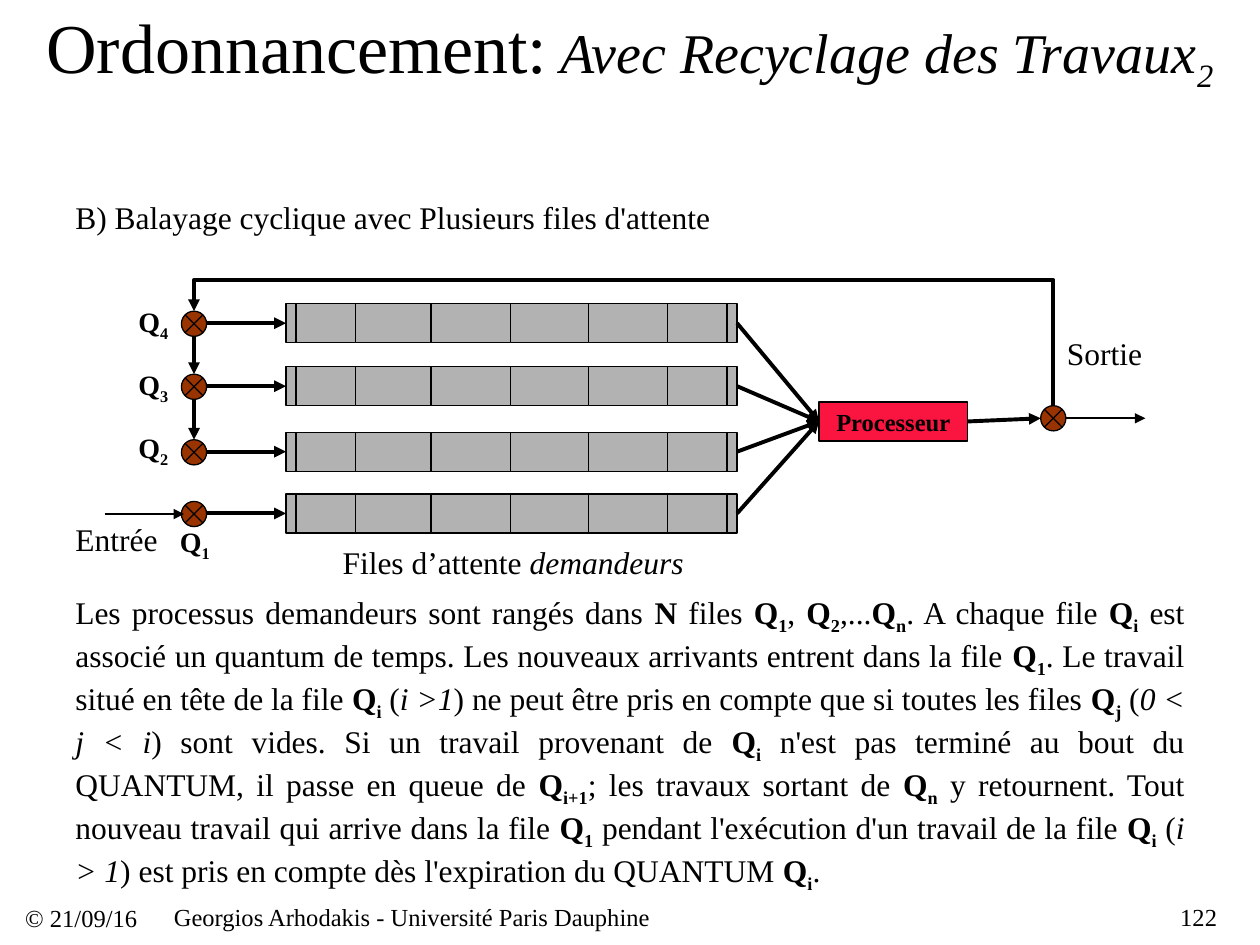
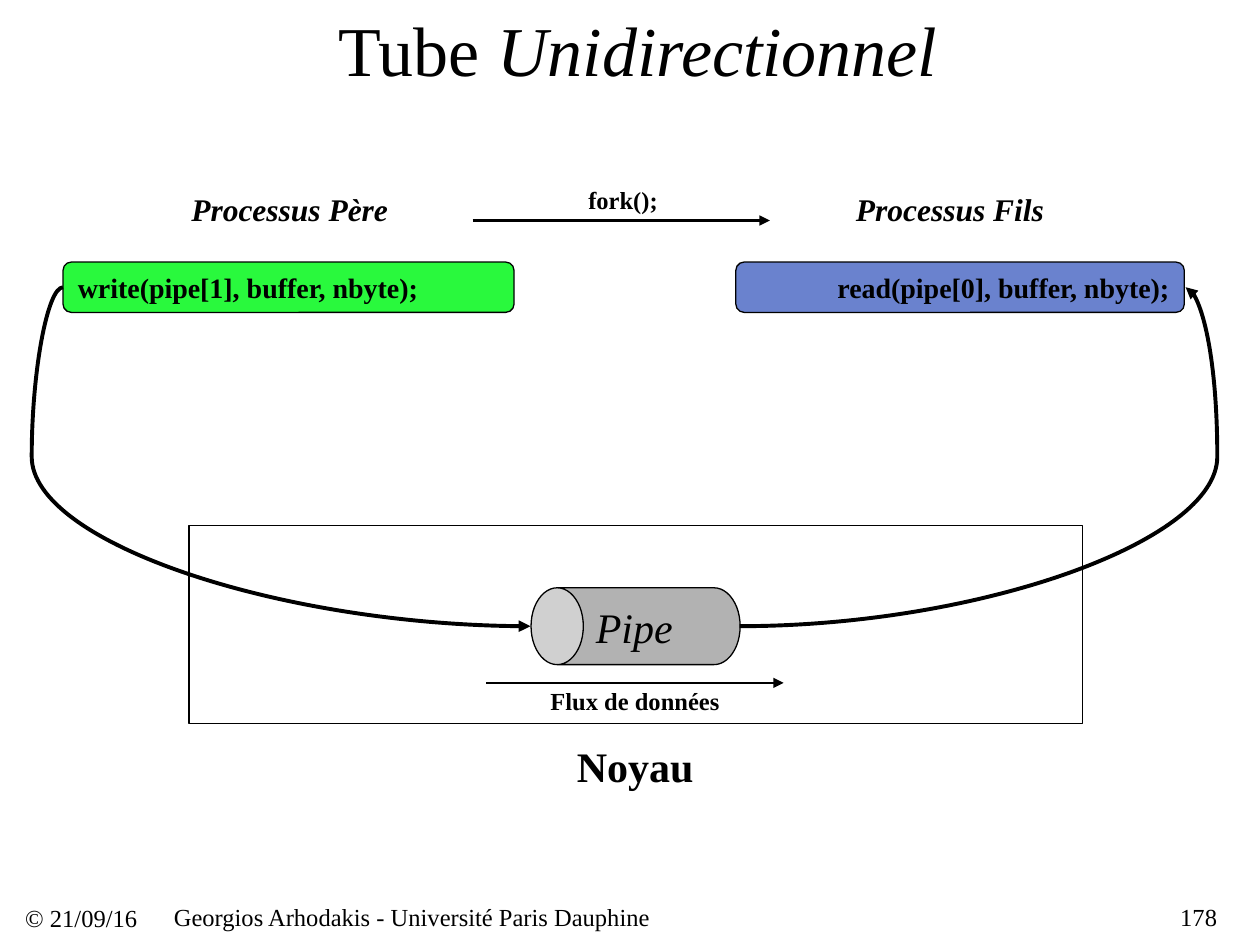
import pptx
import pptx.dml.color
import pptx.enum.shapes
import pptx.enum.text
import pptx.oxml.ns
import pptx.util
from lxml import etree

Inches, Pt = pptx.util.Inches, pptx.util.Pt
RGB = pptx.dml.color.RGBColor
SHAPE = pptx.enum.shapes.MSO_SHAPE
CONN = pptx.enum.shapes.MSO_CONNECTOR
ALIGN = pptx.enum.text.PP_ALIGN
ANCHOR = pptx.enum.text.MSO_ANCHOR
qn = pptx.oxml.ns.qn

BLACK = RGB(0, 0, 0)
GREY = RGB(0xB2, 0xB2, 0xB2)
BROWN = RGB(0x99, 0x33, 0x00)
RED = RGB(0xFA, 0x14, 0x40)
GREEN = RGB(0x29, 0xF9, 0x3D)
BLUE = RGB(0x6A, 0x82, 0xCE)
FONT = "Times New Roman"

RULES = (
    "Les processus demandeurs sont rangés dans *N* files *Q_1_*, *Q_2_*,...*Q_n_*. "
    "A chaque file *Q_i_* est associé un quantum de temps. Les nouveaux arrivants "
    "entrent dans la file *Q_1_*. Le travail situé en tête de la file *Q_i_* "
    "(~i >1~) ne peut être pris en compte que si toutes les files *Q_j_* "
    "(~0 < j < i~) sont vides. Si un travail provenant de *Q_i_* n'est pas terminé "
    "au bout du QUANTUM, il passe en queue de *Q_i+1_*; les travaux sortant de "
    "*Q_n_* y retournent. Tout nouveau travail qui arrive dans la file *Q_1_* "
    "pendant l'exécution d'un travail de la file *Q_i_* (~i > 1~) est pris en "
    "compte dès l'expiration du QUANTUM *Q_i_*."
)


def write(sp, text, size, align=ALIGN.LEFT, margins=True, wrap=True):
    """Write one paragraph in which * marks bold, ~ italic and _ subscript."""
    tf = sp.text_frame
    tf.word_wrap = wrap
    tf.auto_size = pptx.enum.text.MSO_AUTO_SIZE.NONE
    tf.vertical_anchor = ANCHOR.MIDDLE
    if not margins:
        tf.margin_left = tf.margin_right = tf.margin_top = tf.margin_bottom = 0
    p = tf.paragraphs[0]
    p.alignment = align
    p.font.name, p.font.size, p.font.color.rgb = FONT, Pt(size), BLACK
    state = {"*": False, "~": False, "_": False}
    piece = ""
    for mark in text + "\n":
        if mark not in state and mark != "\n":
            piece += mark
            continue
        if piece:
            r = p.add_run()
            r.text = piece
            if state["*"]:
                r.font.bold = True
            if state["~"]:
                r.font.italic = True
            if state["_"]:
                r.font._element.set("baseline", "-25000")
        piece = ""
        if mark in state:
            state[mark] = not state[mark]
    return p


def label(slide, x, y, w, h, text, size, align=ALIGN.LEFT, margins=True):
    """Add a text box."""
    sp = slide.shapes.add_textbox(Inches(x), Inches(y), Inches(w), Inches(h))
    write(sp, text, size, align, margins)


def block(slide, kind, x, y, w, h, fill=None):
    """Add a thinly outlined preset shape."""
    sp = slide.shapes.add_shape(kind, Inches(x), Inches(y), Inches(w), Inches(h))
    sp.shadow.inherit = False
    if fill is None:
        sp.fill.background()
    else:
        sp.fill.solid()
        sp.fill.fore_color.rgb = fill
    sp.line.color.rgb, sp.line.width = BLACK, Pt(0.75)
    return sp


def arrow(slide, x1, y1, x2, y2, width=2.25, kind=CONN.STRAIGHT, adj=None):
    """Add a connector with a triangular head at its end."""
    cx = slide.shapes.add_connector(kind, Inches(x1), Inches(y1), Inches(x2), Inches(y2))
    cx.line.color.rgb, cx.line.width = BLACK, Pt(width)
    spPr = cx._element.spPr
    etree.SubElement(spPr.find(qn("a:ln")), qn("a:tailEnd"), type="triangle")
    etree.SubElement(spPr, qn("a:effectLst"))
    if adj is not None:
        guides = spPr.find(qn("a:prstGeom")).find(qn("a:avLst"))
        etree.SubElement(guides, qn("a:gd"), name="adj1", fmla=f"val {round(adj * 100000)}")
    return cx


def new_slide(prs, title, x, w, number):
    """Add a slide with its title and footer line."""
    slide = prs.slides.add_slide(prs.slide_layouts[5])
    sp = slide.shapes.title
    sp.left, sp.top, sp.width, sp.height = Inches(x), 0, Inches(w), Inches(0.77)
    write(sp, title, 40, ALIGN.CENTER)
    label(slide, 0.2, 7.05, 1.08, 0.47, "© 21/09/16", 14, margins=False)
    label(slide, 1.38, 7.16, 6.83, 0.23,
          "Georgios Arhodakis - Université Paris Dauphine", 14, margins=False)
    label(slide, 8.66, 7.16, 1, 0.23, number, 14, ALIGN.RIGHT, margins=False)
    return slide


def junction(slide, x, y):
    """Add a summing junction."""
    block(slide, SHAPE.FLOWCHART_SUMMING_JUNCTION, x, y, 0.2, 0.2, BROWN)


def queue(slide, x, y):
    """Draw a junction feeding a row of cells and return the last cell."""
    w, h = 0.63, 0.31
    first, last = [block(slide, SHAPE.FLOWCHART_PREDEFINED_PROCESS, x + dx, y, w, h, GREY)
                   for dx in (0.83, 3.78)]
    for dx in (1.38, 1.98, 2.61, 3.23):
        block(slide, SHAPE.FLOWCHART_PROCESS, x + dx, y, w, h, GREY)
    junction(slide, x, y + 0.06)
    arrow(slide, x + 0.2, y + h / 2, x + 0.83, y + h / 2).end_connect(first, 1)
    return last


def feedback(slide, x1, y1, x2, y2):
    """Draw the elbow that returns above the queues from the exit to the entry."""
    mid_x, mid_y = (x1 + x2) / 2, (y1 + y2) / 2
    half_w, half_h = (y1 - y2) / 2, (x1 - x2) / 2
    cx = arrow(slide, mid_x + half_w, mid_y - half_h, mid_x - half_w, mid_y + half_h,
               kind=CONN.ELBOW, adj=1.333)
    cx._element.spPr.find(qn("a:xfrm")).set("rot", "5400000")


def queue_network(slide, x, y):
    """Draw the four queues, the processor and the recycling loop."""
    tops = [y + dy for dy in (0.19, 0.69, 1.21, 1.7)]
    cpu = block(slide, SHAPE.RECTANGLE, x + 5.06, y + 0.97, 1.18, 0.31, RED)
    write(cpu, "*Processeur*", 14, ALIGN.CENTER, wrap=False)
    for top in tops:
        last = queue(slide, x, top)
        cx = arrow(slide, x + 4.41, top, x + 5.06, y + 1.12)
        cx.begin_connect(last, 3)
        cx.end_connect(cpu, 1)
    for upper, lower in zip(tops[:2], tops[1:3]):
        arrow(slide, x + 0.1, upper + 0.26, x + 0.1, lower + 0.06)
    junction(slide, x + 6.82, y + 1)
    arrow(slide, x + 6.24, y + 1.12, x + 6.82, y + 1.1).begin_connect(cpu, 3)
    arrow(slide, x + 7.02, y + 1.1, x + 7.65, y + 1.1, 1)
    arrow(slide, x - 0.61, y + 1.86, x + 0.02, y + 1.86, 1)
    feedback(slide, x + 6.92, y + 1, x + 0.1, y + 0.25)
    for n, dx, dy in ((4, -0.44, 0.16), (3, -0.44, 0.66), (2, -0.44, 1.16), (1, -0.11, 1.91)):
        label(slide, x + dx, y + dy, 0.5, 0.37, f"*Q_{n}_*", 16)
    label(slide, x + 6.93, y + 0.38, 0.8, 0.4, "Sortie", 18)
    label(slide, x - 0.94, y + 1.86, 0.92, 0.4, "Entrée", 18)
    label(slide, x + 1.18, y + 2.04, 2.92, 0.4, "Files d’attente ~demandeurs~", 18)


def scheduling_slide(prs):
    """Build the slide on scheduling with recycled jobs."""
    slide = new_slide(prs, "Ordonnancement:~ Avec Recyclage des Travaux_2_~", 0.2, 9.6, "122")
    for r in slide.shapes.title.text_frame.paragraphs[0].runs[1:]:
        r.font.size = Pt(32)
    label(slide, 0.5, 1.52, 8.02, 0.4, "B) Balayage cyclique avec Plusieurs files d'attente", 18)
    queue_network(slide, 1.44, 2.22)
    label(slide, 0.5, 4.8, 9, 2.2, RULES, 18, ALIGN.JUSTIFY)


def process(slide, x, y, w, name, call, fill, align):
    """Draw a process name above its system call."""
    label(slide, x + w / 2 - 1.38 + (0.01 if align == ALIGN.LEFT else -0.08), y,
          2.76, 0.4, f"*~{name}~*", 18, ALIGN.CENTER)
    sp = block(slide, SHAPE.FLOWCHART_ALTERNATE_PROCESS, x, y + 0.62, w, 0.4, fill)
    write(sp, f"*{call}*", 16, align)


def kernel(slide, x, y):
    """Draw the kernel frame with the pipe and its data flow."""
    block(slide, SHAPE.RECTANGLE, x, y, 7.09, 1.57)
    arrow(slide, x + 2.36, y + 1.25, x + 4.72, y + 1.25, 1.5)
    can = block(slide, SHAPE.CAN, x + 3.24, y - 0.03, 0.61, 1.66, GREY)
    can.rotation = 270
    can.adjustments[0] = 0.681
    write(can, "~Pipe~", 24, ALIGN.CENTER)
    can.text_frame._txBody.bodyPr.set("vert", "eaVert")
    label(slide, x + 2.98, y + 1.66, 1.13, 0.5, "*Noyau*", 24)
    label(slide, x + 2.77, y + 1.23, 1.55, 0.33, "*Flux de données*", 14)


def pipe_slide(prs):
    """Build the slide on the one-way pipe."""
    slide = new_slide(prs, " Tube ~Unidirectionnel~", 0.75, 8.5, "178")
    kernel(slide, 1.5, 4.17)
    process(slide, 0.5, 1.46, 3.58, "Processus Père", "write(pipe[1], buffer, nbyte);",
            GREEN, ALIGN.LEFT)
    process(slide, 5.84, 1.46, 3.56, "Processus Fils", "read(pipe[0], buffer, nbyte);",
            BLUE, ALIGN.RIGHT)
    arrow(slide, 5.87, 4.97, 9.41, 2.28, kind=CONN.CURVE, adj=1.071)
    arrow(slide, 0.5, 2.28, 4.21, 4.97, kind=CONN.CURVE, adj=-0.067)
    label(slide, 4.17, 1.42, 1.55, 0.33, "*fork();*", 14, ALIGN.CENTER)
    arrow(slide, 3.75, 1.75, 6.11, 1.75, 1.5)


def main():
    """Build and save the presentation."""
    prs = pptx.Presentation()
    prs.slide_width, prs.slide_height = Inches(10), Inches(7.5)
    scheduling_slide(prs)
    pipe_slide(prs)
    prs.save("out.pptx")


if __name__ == "__main__":
    main()
